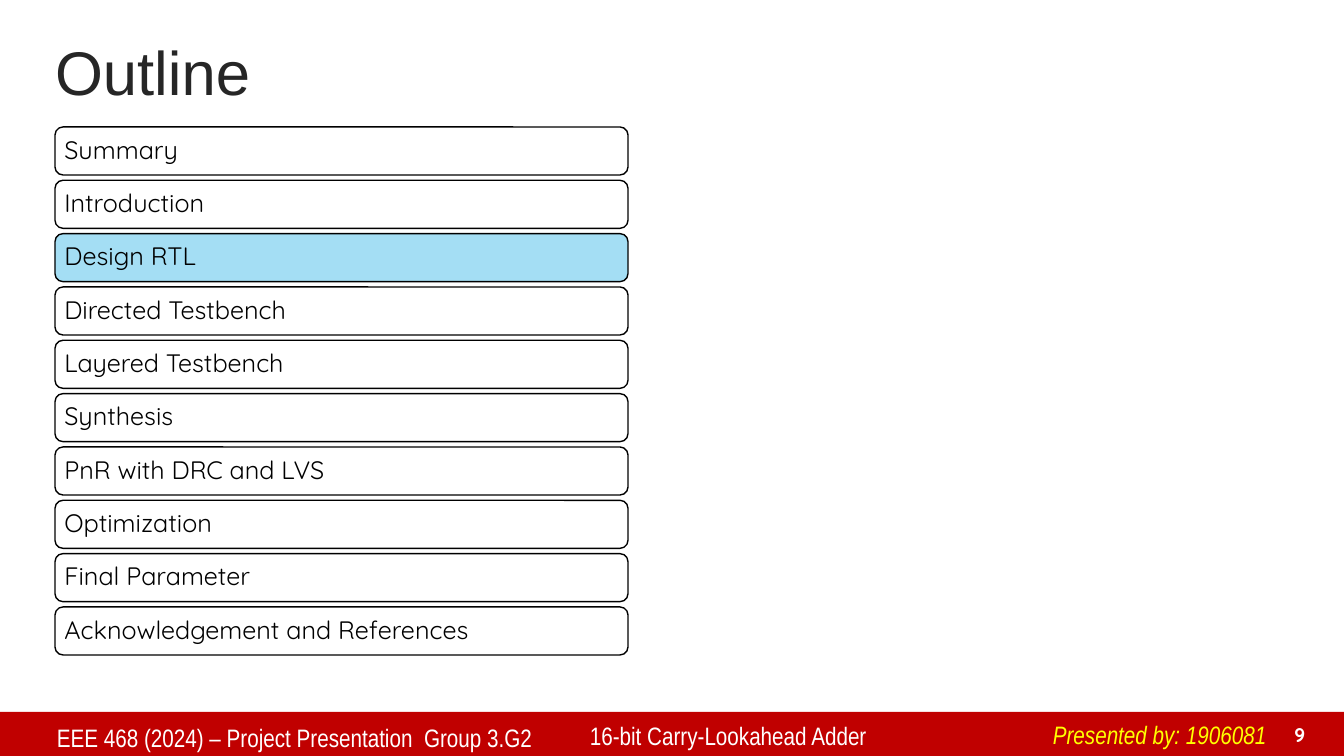
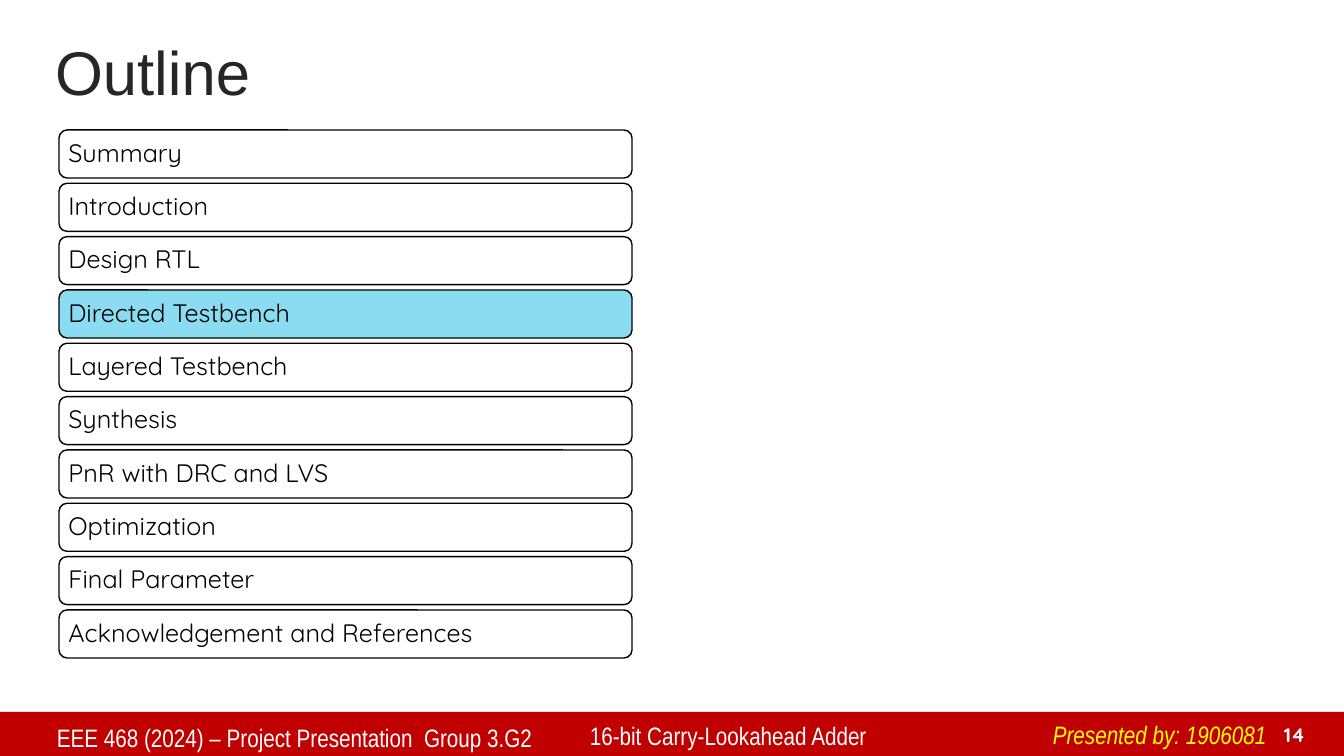
"""Build two outline slides that share a title style and a footer band."""
from pptx import Presentation
from pptx import util as u
from pptx.dml.color import RGBColor
from pptx.enum import shapes, text

TOPICS = ["Summary", "Introduction", "Design RTL", "Directed Testbench",
          "Layered Testbench", "Synthesis", "PnR with DRC and LVS",
          "Optimization", "Final Parameter", "Acknowledgement and References"]
PAGES = [
    {"number": "9", "active": "Design RTL", "fill": "A4DEF4", "left": 55, "top": 127},
    {"number": "14", "active": "Directed Testbench", "fill": "8BDBF1", "left": 59, "top": 130},
]
WHITE, BLACK, RED, YELLOW, DARK = "FFFFFF", "000000", "C00000", "FFFF00", "262626"
FOOTERS = [
    ("EEE 468 (2024) – Project Presentation  Group 3.G2", (47, 717, 532, 41), WHITE),
    ("16-bit Carry-Lookahead Adder", (580, 715, 427, 41), WHITE),
]
AUTHOR = ("Presented by: 1906081", (1043, 714, 237, 40), YELLOW)
WIDTH, HEIGHT = 1344, 756
LIST_W, LIST_H, ITEM_H = 573, 528, 48
STEP = (LIST_H - ITEM_H) / (len(TOPICS) - 1)
SCALE = 914400 / 100.8


def px(n):
    return u.Emu(round(n * SCALE))


def color(code):
    return RGBColor.from_string(code)


def write(frame, words, size, face, ink, bold=False, italic=False):
    frame.text = words
    frame.word_wrap = True
    para = frame.paragraphs[0]
    para.alignment = text.PP_ALIGN.LEFT
    font = para.runs[0].font
    font.size, font.name, font.bold, font.italic = u.Pt(size), face, bold, italic
    font.color.rgb = color(ink)
    return para


def add_label(slide, words, box, ink, size=18, face="Arial Narrow", **style):
    frame = slide.shapes.add_textbox(*map(px, box)).text_frame
    write(frame, words, size, face, ink, **style)
    return frame


def add_box(slide, kind, box, fill, line=None):
    shape = slide.shapes.add_shape(kind, *map(px, box))
    shape.shadow.inherit = False
    shape.fill.solid()
    shape.fill.fore_color.rgb = color(fill)
    if line:
        shape.line.color.rgb = color(line)
        shape.line.width = u.Pt(1)
    else:
        shape.line.fill.background()
    return shape


def add_title(slide, words):
    title = slide.shapes.title
    title.left, title.top, title.width, title.height = map(px, (45, 35, 1109, 81))
    frame = title.text_frame
    write(frame, words, 44, "Arial", DARK).line_spacing = 0.9
    frame.auto_size = text.MSO_AUTO_SIZE.NONE
    frame.vertical_anchor = text.MSO_ANCHOR.MIDDLE


def add_footer(slide, number):
    frame = add_label(slide, number, (1258, 717, 57, 34), WHITE, 14, "Quicksand", bold=True)
    frame.vertical_anchor = text.MSO_ANCHOR.BOTTOM
    frame.paragraphs[0].alignment = text.PP_ALIGN.RIGHT
    for label in FOOTERS:
        add_label(slide, *label)
    frame = add_label(slide, *AUTHOR, italic=True)
    frame.word_wrap = False
    frame.auto_size = text.MSO_AUTO_SIZE.SHAPE_TO_FIT_TEXT


def add_list(slide, page):
    for i, topic in enumerate(TOPICS):
        box = (page["left"], page["top"] + i * STEP, LIST_W, ITEM_H)
        fill = page["fill"] if topic == page["active"] else WHITE
        item = add_box(slide, shapes.MSO_SHAPE.ROUNDED_RECTANGLE, box, fill, BLACK)
        frame = item.text_frame
        frame.margin_left = frame.margin_right = px(7)
        frame.margin_top = frame.margin_bottom = px(7)
        frame.vertical_anchor = text.MSO_ANCHOR.MIDDLE
        write(frame, topic, 18, "Quicksand", BLACK).line_spacing = 0.9


def main():
    deck = Presentation()
    deck.slide_width, deck.slide_height = px(WIDTH), px(HEIGHT)
    slides = [deck.slides.add_slide(deck.slide_layouts[5]) for _ in PAGES]
    band = add_box(slides[0], shapes.MSO_SHAPE.RECTANGLE, (0, 712, WIDTH, 44), RED)
    deck.slide_master.shapes.element.append(band.element)
    for slide, page in zip(slides, PAGES):
        add_title(slide, "Outline")
        add_footer(slide, page["number"])
        add_list(slide, page)
    deck.save("out.pptx")


if __name__ == "__main__":
    main()
